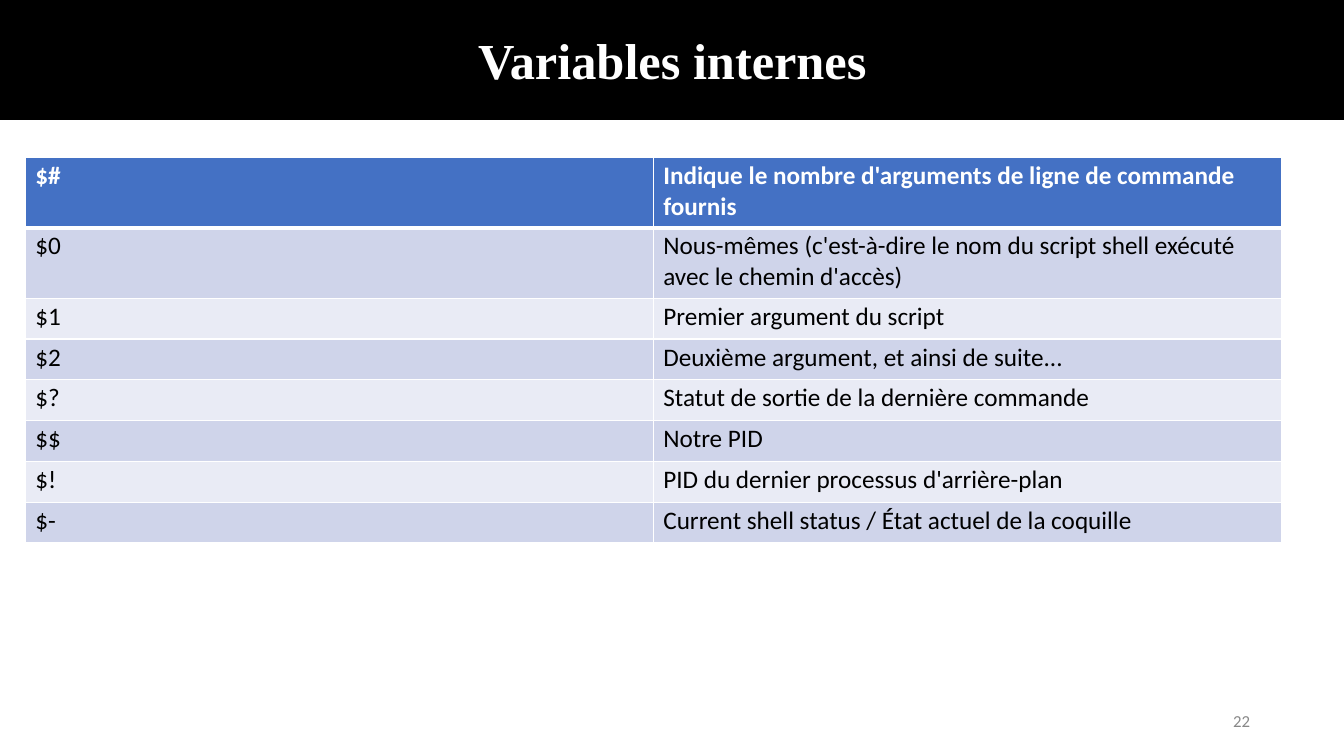
from lxml import etree
from pptx import Presentation
from pptx import util as u
from pptx.dml.color import RGBColor
from pptx.enum import shapes, text
from pptx.oxml.ns import qn

VARIABLES = [
    ("$#", "Indique le nombre d'arguments de ligne de commande fournis"),
    ("$0", "Nous-mêmes (c'est-à-dire le nom du script shell exécuté\n"
           "avec le chemin d'accès)"),
    ("$1", "Premier argument du script"),
    ("$2", "Deuxième argument, et ainsi de suite..."),
    ("$?", "Statut de sortie de la dernière commande"),
    ("$$", "Notre PID"),
    ("$!", "PID du dernier processus d'arrière-plan"),
    ("$-", "Current shell status / État actuel de la coquille"),
]


def rgb(value):
    return RGBColor.from_string(value)


class Deck:
    """Style and current slide; lengths are percentages of the slide size."""
    BODY, HEADING = "Calibri", "Times New Roman"
    BLACK, WHITE, GREY = "000000", "FFFFFF", "888888"
    HEADER, BANDS = "4471C4", ("E9EBF5", "CFD4EA")

    def __init__(self):
        self.prs = Presentation()
        self.prs.slide_width = u.Inches(13.33)
        self.prs.slide_height = u.Inches(7.5)
        self.s = self.prs.slides.add_slide(self.prs.slide_layouts[5])

    def x(self, share):
        return int(self.prs.slide_width * share / 100)

    def y(self, share):
        return int(self.prs.slide_height * share / 100)

    def box(self, left, top, width, height):
        return self.x(left), self.y(top), self.x(width), self.y(height)

    def format(self, tf, size, color, name=BODY, bold=False):
        for p in tf.paragraphs:
            for r in p.runs:
                r.font.size, r.font.name, r.font.bold = u.Pt(size), name, bold
                r.font.color.rgb = rgb(color)

    def insets(self, obj, left=0, top=0):
        obj.margin_left, obj.margin_top = u.Inches(left), u.Inches(top)
        obj.margin_right = obj.margin_bottom = 0

    def title(self, words, *place):
        sp = self.s.shapes.title
        sp.left, sp.top, sp.width, sp.height = self.box(*place)
        tf = sp.text_frame
        tf.text = words
        tf.auto_size = text.MSO_AUTO_SIZE.NONE
        tf.vertical_anchor = text.MSO_ANCHOR.TOP
        tf.paragraphs[0].alignment = text.PP_ALIGN.CENTER
        self.insets(tf, top=0.29)
        self.format(tf, 36, self.WHITE, self.HEADING, True)

    def band(self, *place):
        sp = self.s.shapes.add_shape(shapes.MSO_SHAPE.RECTANGLE, *self.box(*place))
        sp.shadow.inherit = False
        sp.fill.solid()
        sp.fill.fore_color.rgb = rgb(self.BLACK)
        sp.line.color.rgb = rgb(self.BLACK)
        sp.line.width = u.Pt(1)
        # The band lies behind the title
        self.s.shapes.title.element.addprevious(sp.element)

    def label(self, words, size, color, *place):
        tf = self.s.shapes.add_textbox(*self.box(*place)).text_frame
        tf.word_wrap = True
        tf.text = words
        self.insets(tf, left=0.01)
        tf.paragraphs[0].line_spacing = u.Pt(13.5)
        self.format(tf, size, color)

    def borders(self, cell, **widths):
        tcPr = cell._tc.get_or_add_tcPr()
        for i, (side, width) in enumerate(widths.items()):
            ln = etree.Element(qn(f"a:ln{side}"), w=str(u.Pt(width)))
            fill = etree.SubElement(ln, qn("a:solidFill"))
            etree.SubElement(fill, qn("a:srgbClr"), val=self.WHITE)
            tcPr.insert(i, ln)

    def table(self, rows, heights, *place):
        table = self.s.shapes.add_table(len(rows), len(rows[0]), *self.box(*place)).table
        table.horz_banding = False
        for i, (row, height) in enumerate(zip(rows, heights)):
            table.rows[i].height = self.y(height)
            header = i == 0
            for j, words in enumerate(row):
                cell = table.cell(i, j)
                cell.text = words
                cell.fill.solid()
                cell.fill.fore_color.rgb = rgb(self.HEADER if header else self.BANDS[i % 2])
                self.insets(cell, left=0.1, top=0.03)
                self.format(cell.text_frame, 18,
                            self.WHITE if header else self.BLACK, bold=header)
                self.borders(cell, L=1, R=1, T=3 if i == 1 else 1, B=3 if header else 1)


def main():
    deck = Deck()
    # Heading on its black band
    deck.title("Variables internes", 22.2, 0, 55.66, 13.73)
    deck.band(0, 0, 100, 15.8)
    # Shell variables: two tall rows, then single-line rows
    heights = [9.33] * 2 + [5.4] * (len(VARIABLES) - 2)
    deck.table(VARIABLES, heights, 1.88, 20.8, 93.45, sum(heights))
    # Slide number
    deck.label("22", 12, deck.GREY, 91.67, 94.13, 1.8, 2.8)
    deck.prs.save("out.pptx")


if __name__ == "__main__":
    main()
